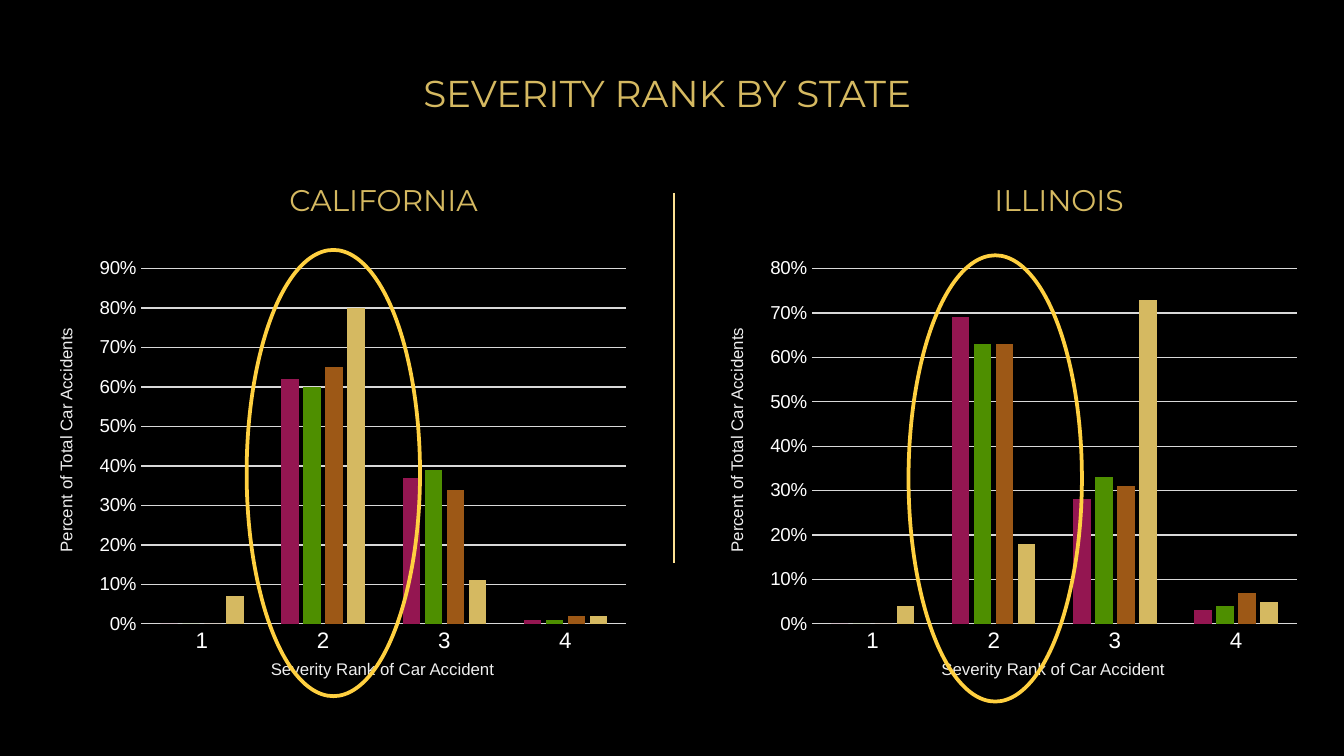
"""Build a slide that compares accident severity ranks in two states."""
import dataclasses

import lxml.etree
import pptx
import pptx.chart.data
import pptx.dml.color
import pptx.enum.chart
import pptx.enum.shapes
import pptx.enum.text
import pptx.oxml.ns
import pptx.util

SCALE = 4572


@dataclasses.dataclass(frozen=True)
class Theme:
    back: str = "000000"
    gold: str = "D5B961"
    pale: str = "EEEEEE"
    white: str = "FFFFFF"
    grid: str = "D9D9D9"
    rule: str = "FCE193"
    ring: str = "FFD040"
    bars: tuple = ("941651", "4E8F00", "9D5816", "D5B961")
    head: str = "Montserrat"
    body: str = "Arial"
    title: int = 20
    state: int = 16
    rank: int = 12
    tick: int = 10
    label: int = 9


THEME = Theme()

CALIFORNIA = (
    (0, 0.62, 0.37, 0.01),
    (0, 0.6, 0.39, 0.01),
    (0, 0.65, 0.34, 0.02),
    (0.07, 0.8, 0.11, 0.02),
)
ILLINOIS = (
    (0, 0.69, 0.28, 0.03),
    (0, 0.63, 0.33, 0.04),
    (0, 0.63, 0.31, 0.07),
    (0.04, 0.18, 0.73, 0.05),
)


def px(*nums):
    return [pptx.util.Emu(num * SCALE) for num in nums]


def rgb(code):
    return pptx.dml.color.RGBColor.from_string(code)


def style(font, size, color, face=THEME.body):
    font.size = pptx.util.Pt(size)
    font.name = face
    font.bold = False
    font.color.rgb = rgb(color)


def stroke(line, color, width):
    line.color.rgb = rgb(color)
    line.width = pptx.util.Pt(width)


def write(shape, text, size, color, face=THEME.body, low=False, grow=False):
    frame = shape.text_frame
    kinds = pptx.enum.text.MSO_AUTO_SIZE
    anchors = pptx.enum.text.MSO_ANCHOR
    frame.text = text
    frame.word_wrap = True
    frame.auto_size = kinds.SHAPE_TO_FIT_TEXT if grow else kinds.NONE
    frame.vertical_anchor = anchors.BOTTOM if low else anchors.TOP
    if low:
        frame.margin_left, frame.margin_right = px(20, 20)
        frame.margin_top, frame.margin_bottom = px(20, 20)
    para = frame.paragraphs[0]
    para.alignment = pptx.enum.text.PP_ALIGN.CENTER
    style(para.runs[0].font, size, color, face)


def head(slide, text):
    title = slide.shapes.title
    title.left, title.top, title.width, title.height = px(168, 79, 1650, 112)
    write(title, text, THEME.title, THEME.gold, face=THEME.head, low=True)


def state(slide, text, left, width):
    box = slide.shapes.add_textbox(*px(left, 231, width, 112))
    write(box, text, THEME.state, THEME.gold, face=THEME.head, low=True)


def label(slide, text, left, top, width, turn=0):
    box = slide.shapes.add_textbox(*px(left, top, width, 50))
    box.rotation = turn
    write(box, text, THEME.label, THEME.pale, grow=True)


def graph(slide, left, rows, peak):
    kinds = pptx.enum.chart
    data = pptx.chart.data.CategoryChartData(number_format="0%")
    data.categories = ["1", "2", "3", "4"]
    for num, row in enumerate(rows, 1):
        data.add_series(f"Series {num}", row)
    chart = slide.shapes.add_chart(
        kinds.XL_CHART_TYPE.COLUMN_CLUSTERED, *px(left, 372, 816, 612), data
    ).chart
    chart.has_legend = False
    chart.has_title = False
    style(chart.font, THEME.tick, THEME.back)
    plot = chart.plots[0]
    plot.vary_by_categories = False
    plot.gap_width = 219
    plot.overlap = -27
    for bar, color in zip(plot.series, THEME.bars):
        bar.format.fill.solid()
        bar.format.fill.fore_color.rgb = rgb(color)
        bar.invert_if_negative = False

    ranks, share = chart.category_axis, chart.value_axis
    for axis, size in ((ranks, THEME.rank), (share, THEME.tick)):
        axis.major_tick_mark = kinds.XL_TICK_MARK.NONE
        axis.minor_tick_mark = kinds.XL_TICK_MARK.NONE
        style(axis.tick_labels.font, size, THEME.white)
    stroke(ranks.format.line, THEME.grid, 0.75)
    share.format.line.fill.background()
    share.minimum_scale = 0
    share.maximum_scale = peak
    share.major_unit = 0.1
    share.has_major_gridlines = True
    stroke(share.major_gridlines.format.line, THEME.grid, 0.75)
    share.tick_labels.number_format = "0%"
    share.tick_labels.number_format_is_linked = False


def panel(slide, left, rows, peak):
    graph(slide, left, rows, peak)
    label(slide, "Percent of Total Car Accidents", left - 348, 630, 628, turn=270)
    label(slide, "Severity Rank of Car Accident", left + 32, 971, 810)


def rule(slide, left, top, low):
    line = slide.shapes.add_connector(
        pptx.enum.shapes.MSO_CONNECTOR.STRAIGHT, *px(left, top, left, low)
    )
    stroke(line.line, THEME.rule, 0.75)
    lxml.etree.SubElement(line._element.spPr, pptx.oxml.ns.qn("a:effectLst"))


def ring(slide, left, top):
    oval = slide.shapes.add_shape(
        pptx.enum.shapes.MSO_SHAPE.OVAL, *px(left, top, 258, 664)
    )
    oval.shadow.inherit = False
    oval.fill.background()
    stroke(oval.line, THEME.ring, 2)


def main():
    deck = pptx.Presentation()
    deck.slide_width, deck.slide_height = px(2000, 1125)
    slide = deck.slides.add_slide(deck.slide_layouts.get_by_name("Title Only"))
    slide.background.fill.solid()
    slide.background.fill.fore_color.rgb = rgb(THEME.back)

    head(slide, "SEVERITY RANK BY STATE")
    state(slide, "CALIFORNIA", 307, 528)
    state(slide, "ILLINOIS", 1278, 596)
    panel(slide, 132, CALIFORNIA, 0.9)
    rule(slide, 1003, 287, 838)
    panel(slide, 1130, ILLINOIS, 0.8)
    ring(slide, 367, 372)
    ring(slide, 1352, 380)
    deck.save("out.pptx")


if __name__ == "__main__":
    main()
